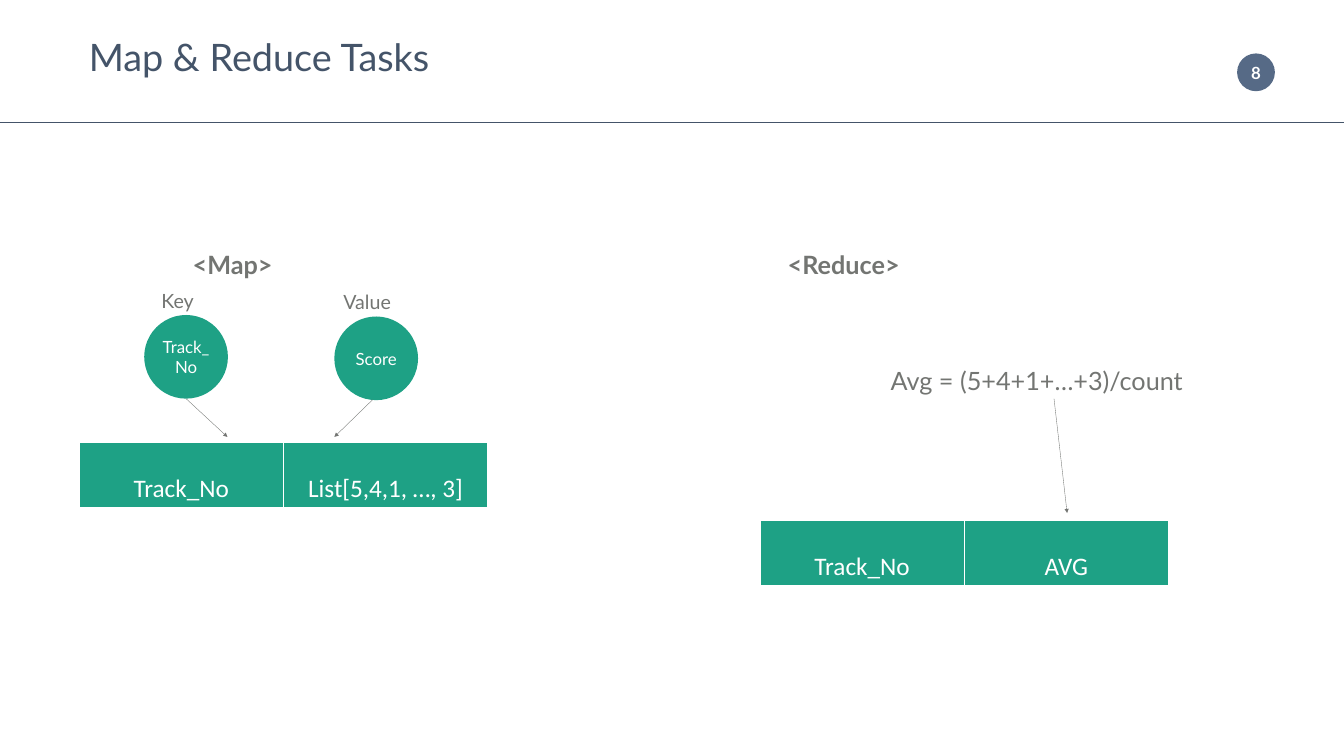
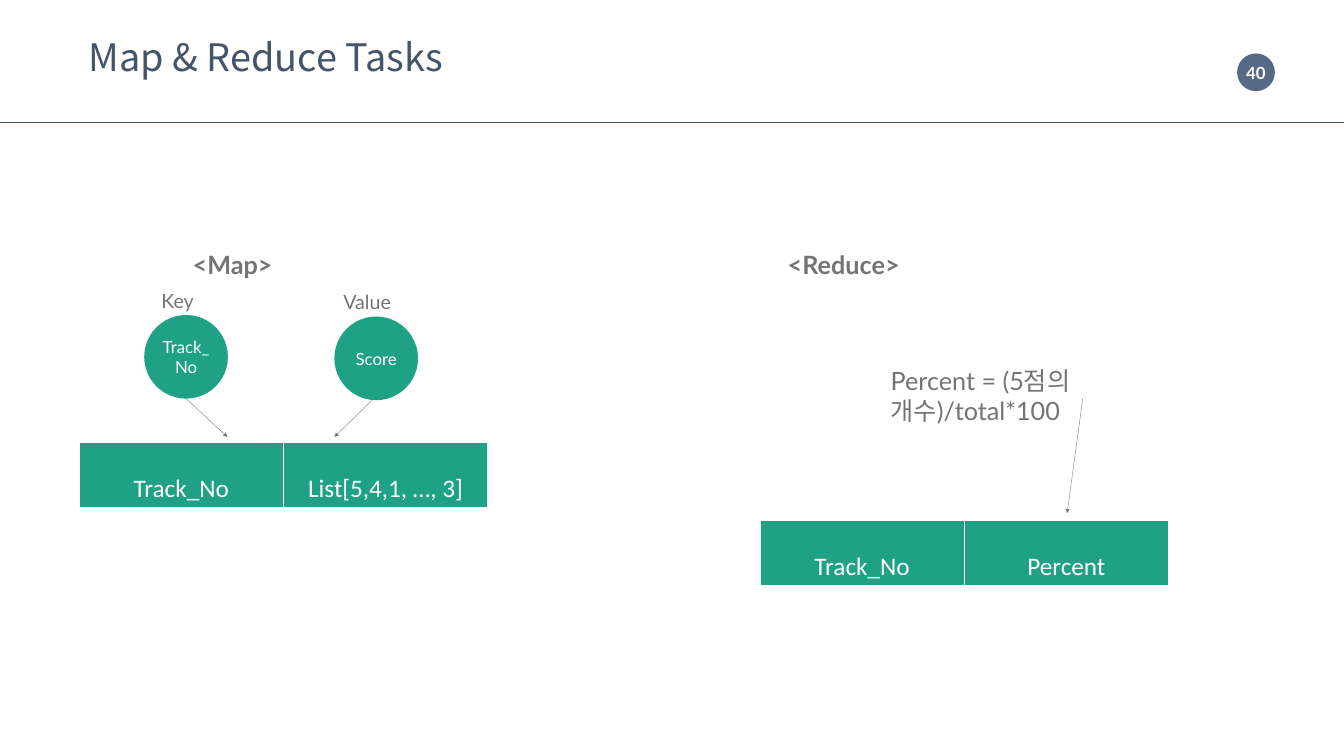
from lxml import etree
from pptx import Presentation
from pptx.dml.color import RGBColor
from pptx.enum.shapes import MSO_CONNECTOR, MSO_SHAPE
from pptx.enum.text import MSO_ANCHOR, PP_ALIGN
from pptx.oxml.ns import qn
from pptx.util import Inches, Pt

STRAIGHT = MSO_CONNECTOR.STRAIGHT
OVAL = MSO_SHAPE.OVAL
TOP, MIDDLE, BOTTOM = MSO_ANCHOR.TOP, MSO_ANCHOR.MIDDLE, MSO_ANCHOR.BOTTOM
LEFT, CENTER = PP_ALIGN.LEFT, PP_ALIGN.CENTER

NAVY, SLATE, GREEN = "445469", "566A86", "1EA185"
GREY, WHITE = "737572", "FFFFFF"
LATO, CALIBRI, KOREAN = "Lato", "Calibri", "Noto Sans CJK KR"
BORDERS = [("L", 1), ("R", 1), ("T", 1), ("B", 3)]


def paint(fill, color):
    fill.solid()
    fill.fore_color.rgb = RGBColor.from_string(color)


def write(holder, text, size, color, font=LATO, bold=False, align=LEFT, anchor=TOP, inset=0.05):
    for side in ("left", "top", "right", "bottom"):
        setattr(holder, f"margin_{side}", Inches(inset))
    holder.vertical_anchor = anchor
    frame = getattr(holder, "text_frame", holder)
    paragraph = frame.paragraphs[0]
    paragraph.alignment = align
    run = paragraph.add_run()
    run.text = text
    run.font.size = Pt(size)
    run.font.bold = bold
    run.font.name = font
    paint(run.font.fill, color)
    etree.SubElement(run._r.get_or_add_rPr(), qn("a:ea")).set("typeface", KOREAN)
    return paragraph


pages = [
    {"number": "8", "title_font": LATO, "result": "AVG",
     "formula": "Avg = (5+4+1+…+3)/count", "formula_size": (6.01, 0.7),
     "formula_wraps": False, "arrow_start": 20.9},
    {"number": "40", "title_font": KOREAN, "result": "Percent",
     "formula": "Percent = (5점의 개수)/total*100", "formula_size": (4.2, 1.3),
     "formula_wraps": True, "arrow_start": 21.47},
]

prs = Presentation()
prs.slide_width = Inches(26.65)
prs.slide_height = Inches(15)

for page in pages:
    slide = prs.slides.add_slide(prs.slide_layouts[5])
    shapes = slide.shapes

    title = shapes.title
    title.left, title.top = Inches(1.71), Inches(0.43)
    title.width, title.height = Inches(7.2), Inches(1)
    title.text_frame.word_wrap = False
    heading = write(title.text_frame, "Map & Reduce Tasks", 54, NAVY, page["title_font"])
    heading.line_spacing = 1.2

    circles = [
        (24.53, 1.06, 0.75, SLATE, page["number"], True, 0, False),
        (2.86, 6.25, 1.66, GREEN, "Track_No", False, 0.05, True),
        (6.63, 6.28, 1.66, GREEN, "Score", False, 0.05, True),
    ]
    for x, y, diameter, color, label, bold, inset, wraps in circles:
        circle = shapes.add_shape(OVAL, Inches(x), Inches(y), Inches(diameter), Inches(diameter))
        circle.shadow.inherit = False
        paint(circle.fill, color)
        circle.line.fill.background()
        circle.text_frame.word_wrap = wraps
        write(circle.text_frame, label, 24, WHITE, bold=bold, align=CENTER,
              anchor=MIDDLE, inset=inset)

    labels = [
        ("<Map>", 3.77, 4.9, 3, 0.7, 36, True, True),
        ("<Reduce>", 15.57, 4.9, 3, 0.7, 36, True, True),
        ("Key", 3.15, 5.68, 0.78, 0.57, 28, False, False),
        ("Value", 6.76, 5.71, 1.08, 0.57, 28, False, False),
        (page["formula"], 17.61, 7.2, *page["formula_size"], 36, False, page["formula_wraps"]),
    ]
    for text, x, y, width, height, size, bold, wraps in labels:
        label_box = shapes.add_textbox(Inches(x), Inches(y), Inches(width), Inches(height))
        label_box.text_frame.word_wrap = wraps
        write(label_box.text_frame, text, size, GREY, bold=bold)

    pairs = [
        (1.57, 8.77, ["Track_No", "List[5,4,1, …, 3]"]),
        (15.07, 10.32, ["Track_No", page["result"]]),
    ]
    for x, y, entries in pairs:
        pair = shapes.add_table(1, 2, Inches(x), Inches(y), Inches(8.1), Inches(1.31)).table
        for cell, entry in zip(pair.iter_cells(), entries):
            write(cell, entry, 36, WHITE, CALIBRI, align=CENTER, anchor=BOTTOM, inset=0.08)
            properties = cell._tc.get_or_add_tcPr()
            for side, weight in BORDERS:
                border = etree.SubElement(properties, qn(f"a:ln{side}"), w=str(Pt(weight)))
                border_fill = etree.SubElement(border, qn("a:solidFill"))
                etree.SubElement(border_fill, qn("a:srgbClr"), val=WHITE)
            paint(cell.fill, GREEN)

    lines = [
        (0, 2.42, 26.65, 2.42, NAVY, 1, False),
        (3.69, 7.91, 4.51, 8.67, GREY, 0.5, True),
        (7.39, 7.93, 6.63, 8.67, GREY, 0.5, True),
        (page["arrow_start"], 7.91, 21.16, 10.18, GREY, 0.5, True),
    ]
    for x1, y1, x2, y2, color, weight, has_arrow in lines:
        line = shapes.add_connector(STRAIGHT, Inches(x1), Inches(y1), Inches(x2), Inches(y2))
        paint(line.line.fill, color)
        line.line.width = Pt(weight)
        if has_arrow:
            etree.SubElement(line.get_or_add_ln(), qn("a:tailEnd"), type="triangle")
        etree.SubElement(line._element.spPr, qn("a:effectLst"))

prs.save("out.pptx")
